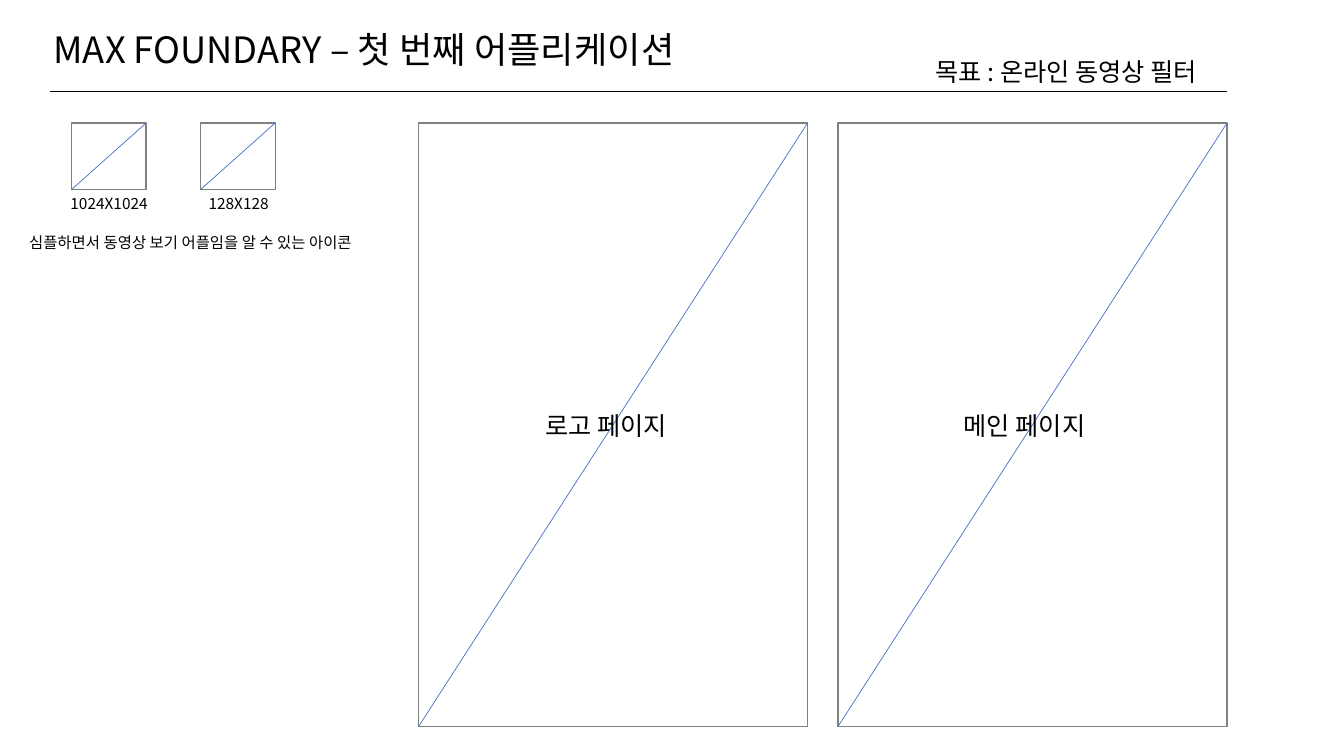
from pptx import Presentation
from pptx.dml.color import RGBColor
from pptx.enum.shapes import MSO_CONNECTOR as Conn, MSO_SHAPE as Shape
from pptx.enum.text import MSO_ANCHOR as Anchor, PP_ALIGN as Align
from pptx.oxml.ns import qn
from pptx.util import Inches, Pt

FONT = "Noto Sans CJK KR"
COLORS = {"ink": "000000", "frame": "808080", "cross": "4472C4"}

TITLE = "MAX FOUNDARY – 첫 번째 어플리케이션"
# text, left, top, width, height, size
LABELS = [
    ("목표 : 온라인 동영상 필터", 9.18, 0.51, 3.14, 0.4, 18),
    ("로고 페이지", 5.31, 4.02, 1.55, 0.4, 18),
    ("메인 페이지", 9.46, 4.02, 1.55, 0.4, 18),
    ("1024X1024", 0.6, 1.88, 0.97, 0.29, 11),
    ("128X128", 1.97, 1.88, 0.8, 0.29, 11),
    ("심플하면서 동영상 보기 어플임을 알 수 있는 아이콘", 0.19, 2.26, 3.82, 0.29, 11),
]
TOP = 1.22
PAGE = (3.86, 5.99)
ICON = (0.74, 0.66)
FRAMES = [(0.71, ICON), (1.99, ICON), (4.15, PAGE), (8.31, PAGE)]


def color(name):
    return RGBColor.from_string(COLORS[name])


def write(shape, text, size, spacing=None):
    frame = shape.text_frame
    frame.word_wrap = True
    frame.vertical_anchor = Anchor.TOP
    para = frame.paragraphs[0]
    para.alignment = Align.LEFT
    para.line_spacing = spacing
    run = para.add_run()
    run.text = text
    run.font.size = Pt(size)
    run.font.name = FONT
    run.font.color.rgb = color("ink")
    props = run.font._element
    for tag in ("a:ea", "a:cs"):
        props.makeelement(qn(tag), {})
        face = props.makeelement(qn(tag), {"typeface": FONT})
        props.append(face)


def rule(slide, start, end, tone, width):
    line = slide.shapes.add_connector(
        Conn.STRAIGHT, *(Inches(n) for n in start + end))
    line.line.color.rgb = color(tone)
    line.line.width = Pt(width)
    props = line._element.spPr
    props.append(props.makeelement(qn("a:effectLst"), {}))


def crossed(slide, left, size):
    """Draw an empty frame with a diagonal from top right to bottom left."""
    wide, high = size
    box = slide.shapes.add_shape(
        Shape.RECTANGLE, *(Inches(n) for n in (left, TOP, wide, high)))
    box.shadow.inherit = False
    box.fill.background()
    box.line.color.rgb = color("frame")
    box.line.width = Pt(1)
    rule(slide, (left + wide, TOP), (left, TOP + high), "cross", 0.5)


def main():
    deck = Presentation()
    deck.slide_width, deck.slide_height = Inches(13.33), Inches(7.5)
    slide = deck.slides.add_slide(deck.slide_layouts[5])

    title = slide.shapes.title
    title.left, title.top = Inches(0.43), Inches(0.3)
    title.width, title.height = Inches(7.1), Inches(0.67)
    write(title, TITLE, 25.9, spacing=0.8)
    rule(slide, (0.5, 0.91), (12.17, 0.91), "ink", 1)

    for left, size in FRAMES:
        crossed(slide, left, size)
    for text, *place, size in LABELS:
        box = slide.shapes.add_textbox(*(Inches(n) for n in place))
        write(box, text, size)
    deck.save("out.pptx")


if __name__ == "__main__":
    main()
